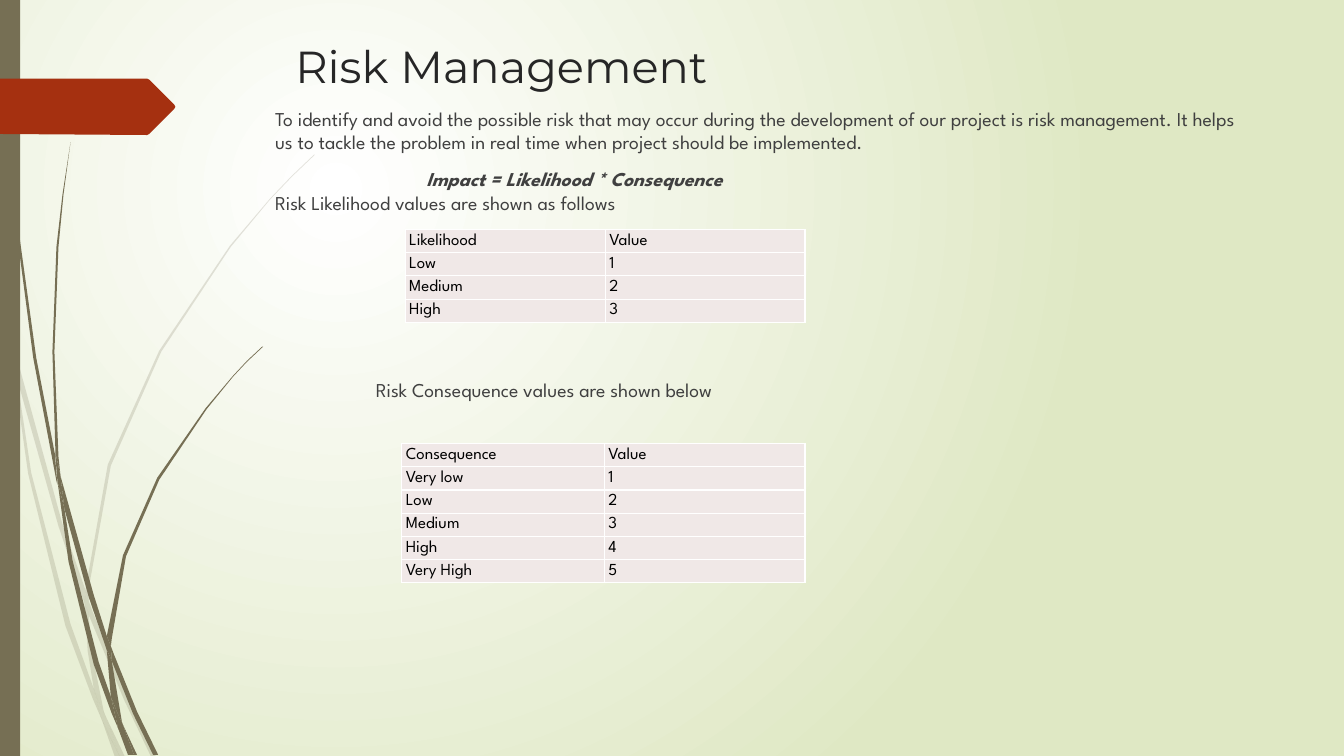
from dataclasses import dataclass

from pptx import Presentation
from pptx.dml.color import RGBColor as Rgb
from pptx.enum.shapes import MSO_SHAPE as Preset
from pptx.enum.text import MSO_ANCHOR as Anchor
from pptx.oxml import parse_xml
from pptx.oxml.ns import nsdecls
from pptx.util import Pt

COLOURS = {
    "olive": "766F54", "rust": "A53010", "title": "262626", "body": "404040",
    "cell": "F0E8E7", "white": "FFFFFF", "black": "000000", "green": "DFE8C4",
}
HEADING, TEXT = "Montserrat", "League Spartan"
GRID = Pt(0.72)  # unit of the outline coordinates
LINE_PITCH = Pt(16.7)
ROW_HEIGHT = 16.6


@dataclass
class Line:
    text: str
    indent: float = 0
    before: float = 0
    strong: bool = False


@dataclass
class ValueTable:
    left: float
    top: float
    widths: tuple[float, float]
    rows: list[tuple[str, str]]


# Outlines of the grass stems, as x,y pairs
FAINT_STEMS = [
    "11,350 9,322 0,282 0,299 10,344",
    "58,522 84,599 85,586 62,520 14,345 17,376",
    "92,607 88,596 88,610 123,694 150,751 155,751 127,692",
    "119,751 124,751 105,711",
    "93,683 70,619 31,469 17,376 11,350 28,470 65,621 92,693 101,714 99,707",
    "84,599 87,646 93,683 96,692 105,711 103,706 91,646 88,610 88,608",
    "88,584 110,462 160,349 229,245 268,198 290,175 312,154 312,153 289,175 "
    "268,197 228,244 158,348 107,461 85,584 85,586 88,596",
    "101,714 114,751 119,751",
    "88,608 88,610 88,596 85,586 84,599",
    "96,692 93,683 99,707 101,714 119,751 105,711",
]
SOLID_STEMS = [
    "7,110 17,233 33,355 56,477 57,481 55,457 55,453 36,355 19,232 8,109 5,48 "
    "4,0 3,0 4,48",
    "88,592 106,645 106,633 106,631 93,590 60,472 64,505",
    "113,649 110,641 111,656 132,708 152,749 157,749 136,706",
    "110,691 98,657 72,556 64,505 57,477 68,557 93,659 111,708 117,722 116,717",
    "60,472 58,453 54,349 58,245 63,193 70,141 62,193 56,245 52,349 55,449",
    "133,749 136,749 122,719",
    "57,477 64,505 60,472 55,449 55,453",
    "111,633 125,552 158,476 205,406 231,374 245,359 261,344 260,344 245,358 "
    "231,373 204,405 156,474 122,551 106,631 110,641",
    "117,722 127,749 131,749",
    "106,645 110,691 116,706 122,719 121,716 111,656 109,651",
    "106,645 109,651 111,656 110,641 106,631 106,633",
    "116,706 110,691 116,717 117,722 130,749 133,749 122,719",
]
ARROW_TAG = "0,78 146,78 148,79 173,104 174,106 173,108 148,133 146,134 0,133"

BODY = [
    Line("To identify and avoid the possible risk that may occur during the "
         "development of our project is risk management. It helps us to tackle "
         "the problem in real time when project should be implemented."),
    Line("Impact = Likelihood * Consequence", indent=108, before=10, strong=True),
    Line("Risk Likelihood values are shown as follows"),
    Line("Risk Consequence values are shown below", indent=72, before=116.8),
]
TABLES = [
    ValueTable(289.4, 163.9, (143, 142.6),
               [("Likelihood", "Value"), ("Low", "1"), ("Medium", "2"),
                ("High", "3")]),
    ValueTable(287, 316.8, (144.7, 143.3),
               [("Consequence", "Value"), ("Very low", "1"), ("Low", "2"),
                ("Medium", "3"), ("High", "4"), ("Very High", "5")]),
]


def paint(shape, colour: str, opacity: int = 100) -> None:
    shape.shadow.inherit = False
    shape.fill.solid()
    shape.fill.fore_color.rgb = Rgb.from_string(COLOURS[colour])
    shape.line.fill.background()
    if opacity < 100:
        tint = shape.element.xpath("./p:spPr/a:solidFill/a:srgbClr")[0]
        tint.append(parse_xml(f'<a:alpha {nsdecls("a")} val="{opacity * 1000}"/>'))


def add_outline(page, outline: str, colour: str, opacity: int = 100) -> None:
    points = [tuple(map(int, pair.split(","))) for pair in outline.split()]
    builder = page.shapes.build_freeform(*points[0], scale=GRID)
    builder.add_line_segments(points[1:], close=True)
    paint(builder.convert_to_shape(), colour, opacity)


def write(para, text: str, *, size: float, font: str, colour: str,
          strong: bool = False) -> None:
    span = para.add_run()
    span.text = text
    span.font.size = Pt(size)
    span.font.name = font
    span.font.bold = span.font.italic = strong
    span.font.color.rgb = Rgb.from_string(COLOURS[colour])


def add_text_frame(page, left: float, top: float, width: float, height: float,
                   anchor: Anchor):
    box = page.shapes.add_textbox(Pt(left), Pt(top), Pt(width), Pt(height))
    frame = box.text_frame
    frame.word_wrap = True
    frame.vertical_anchor = anchor
    return frame


def add_borders(cell) -> None:
    properties = cell._tc.get_or_add_tcPr()
    for side in "LRTB":
        properties.append(parse_xml(
            f'<a:ln{side} {nsdecls("a")} w="{Pt(1)}"><a:solidFill>'
            f'<a:srgbClr val="{COLOURS["white"]}"/></a:solidFill></a:ln{side}>'))


def add_value_table(page, item: ValueTable) -> None:
    count = len(item.rows)
    table = page.shapes.add_table(
        count, 2, Pt(item.left), Pt(item.top), Pt(sum(item.widths)),
        Pt(ROW_HEIGHT * count)).table
    table.first_row = table.horz_banding = False
    for column, width in zip(table.columns, item.widths):
        column.width = Pt(width)
    for row, texts in zip(table.rows, item.rows):
        row.height = Pt(ROW_HEIGHT)
        for cell, text in zip(row.cells, texts):
            cell.margin_left = cell.margin_right = Pt(2.9)
            cell.margin_top = cell.margin_bottom = Pt(0)
            cell.vertical_anchor = Anchor.MIDDLE
            add_borders(cell)
            cell.fill.solid()
            cell.fill.fore_color.rgb = Rgb.from_string(COLOURS["cell"])
            write(cell.text_frame.paragraphs[0], text, size=12, font=TEXT,
                  colour="black")


def add_background(page) -> None:
    stops = "".join(
        f'<a:gs pos="{place}"><a:srgbClr val="{COLOURS[name]}"/></a:gs>'
        for place, name in ((0, "white"), (100000, "green")))
    page.element.cSld.insert(0, parse_xml(
        f'<p:bg {nsdecls("p", "a")}><p:bgPr><a:gradFill><a:gsLst>{stops}</a:gsLst>'
        '<a:path path="circle"><a:fillToRect l="50000" t="50000" r="100000" '
        'b="100000"/></a:path></a:gradFill><a:effectLst/></p:bgPr></p:bg>'))


def main() -> None:
    deck = Presentation()
    deck.slide_width, deck.slide_height = Pt(960), Pt(540)
    page = deck.slides.add_slide(deck.slide_layouts[6])
    add_background(page)

    # Grass, side bar and arrow tag
    for stems, opacity in ((FAINT_STEMS, 20), (SOLID_STEMS, 100)):
        for stem in stems:
            add_outline(page, stem, "olive", opacity)
    bar = page.shapes.add_shape(Preset.RECTANGLE, Pt(0), Pt(0), Pt(14.4), Pt(540))
    paint(bar, "olive")
    add_outline(page, ARROW_TAG, "rust")

    # Title and body text
    title = add_text_frame(page, 203.8, 21.6, 702, 51.1, Anchor.MIDDLE)
    write(title.paragraphs[0], "Risk Management", size=32, font=HEADING,
          colour="title")
    body = add_text_frame(page, 189.4, 72.7, 702, 456.5, Anchor.TOP)
    for index, line in enumerate(BODY):
        para = body.add_paragraph() if index else body.paragraphs[0]
        para.line_spacing = LINE_PITCH
        para.space_before = Pt(line.before)
        para._p.get_or_add_pPr().set("marL", str(Pt(line.indent)))
        write(para, line.text, size=14, font=TEXT, colour="body",
              strong=line.strong)

    # Likelihood and consequence values
    for item in TABLES:
        add_value_table(page, item)

    deck.save("out.pptx")


if __name__ == "__main__":
    main()
